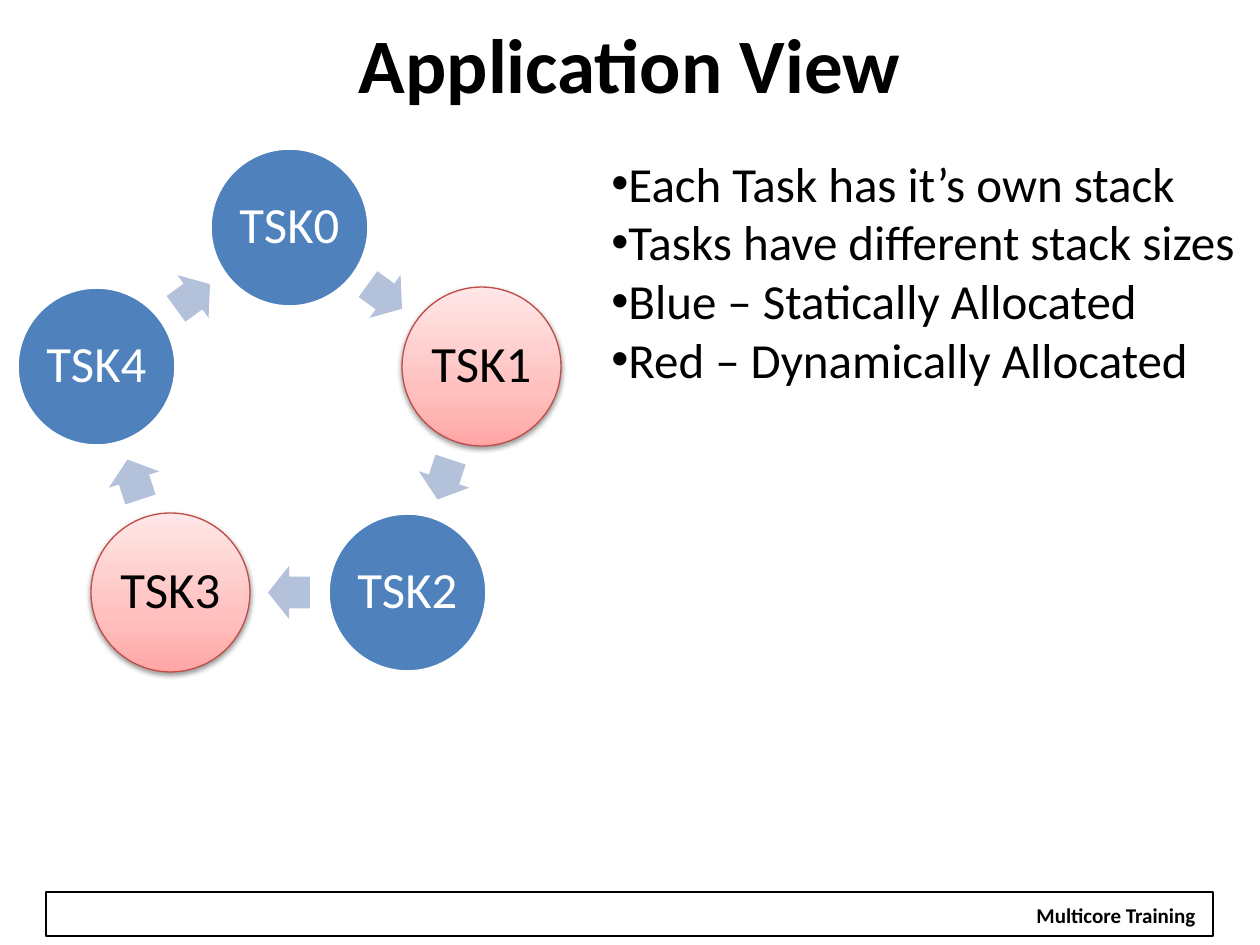
"""Build the Application View slide: a ring of five tasks beside notes on their stacks."""
from dataclasses import dataclass
from math import cos, pi, sin
from typing import NamedTuple

from lxml import etree
from pptx import Presentation
from pptx.dml.color import RGBColor
from pptx.enum.shapes import MSO_SHAPE
from pptx.enum.text import MSO_ANCHOR, PP_ALIGN
from pptx.oxml.ns import qn
from pptx.util import Emu, Pt

EMU_PER_PX = 914400 / 126
ELLIPSE, ARROW, RECT = MSO_SHAPE.OVAL, MSO_SHAPE.RIGHT_ARROW, MSO_SHAPE.RECTANGLE
LEFT, CENTER = PP_ALIGN.LEFT, PP_ALIGN.CENTER
TOP, MIDDLE = MSO_ANCHOR.TOP, MSO_ANCHOR.MIDDLE


@dataclass(frozen=True)
class Theme:
    """Colours, font and type sizes of the slide."""
    font: str = "Calibri"
    ink: str = "000000"
    paper: str = "FFFFFF"
    static: str = "4F81BD"
    dynamic_edge: str = "BF4C48"
    dynamic_stops: tuple = ((0, "FFA6A5"), (35, "FFC0BF"), (100, "FFE7E7"))
    arrow: str = "B3C1DB"
    title_size: int = 44
    task_size: int = 29
    note_size: int = 28
    footer_size: int = 12


class Box(NamedTuple):
    """A rectangle in px."""
    left: int
    top: int
    width: int
    height: int


class Task(NamedTuple):
    """A task and the way its stack is allocated."""
    name: str
    dynamic: bool


THEME = Theme()
TASKS = [Task("TSK0", False), Task("TSK1", True), Task("TSK2", False),
         Task("TSK3", True), Task("TSK4", False)]
NOTES = ["Each Task has it’s own stack", "Tasks have different stack sizes",
         "Blue – Statically Allocated", "Red – Dynamically Allocated"]
RING_X, RING_Y, RING_RADIUS = 289, 429, 202
TASK_SIDE, ARROW_WIDTH, ARROW_HEIGHT = 159, 42, 53


def px(length: float) -> Emu:
    """Turn px into EMU."""
    return Emu(round(length * EMU_PER_PX))


def rgb(value: str) -> RGBColor:
    """Read a hexadecimal colour."""
    return RGBColor.from_string(value)


def add_shape(slide, preset, box: Box, fill: str | None = None,
              line: str | None = None, line_width: float = 0.75):
    """Draw a flat preset shape."""
    shape = slide.shapes.add_shape(preset, *map(px, box))
    shape.shadow.inherit = False
    if fill:
        shape.fill.solid()
        shape.fill.fore_color.rgb = rgb(fill)
    else:
        shape.fill.background()
    if line:
        shape.line.color.rgb = rgb(line)
        shape.line.width = Pt(line_width)
    else:
        shape.line.fill.background()
    return shape


def write(shape, *lines: str, size: int, color: str = THEME.ink, bold: bool = False,
          align=LEFT, anchor=TOP, wrap: bool = True, bullet: str = "",
          spacing: float = 1.0) -> None:
    """Write lines into a shape, one paragraph each."""
    frame = shape.text_frame
    frame.word_wrap = wrap
    frame.vertical_anchor = anchor
    frame.text = "\n".join(lines)
    for paragraph in frame.paragraphs:
        if bullet:
            properties = paragraph._p.get_or_add_pPr()
            etree.SubElement(properties, qn("a:buFont"), typeface="Arial")
            etree.SubElement(properties, qn("a:buChar"), char=bullet)
        paragraph.alignment = align
        paragraph.line_spacing = spacing
        for run in paragraph.runs:
            run.font.name = THEME.font
            run.font.size = Pt(size)
            run.font.bold = bold
            run.font.color.rgb = rgb(color)


def add_color(parent, value: str):
    """Add a colour element to an XML parent."""
    return etree.SubElement(parent, qn("a:srgbClr"), val=value)


def style_dynamic(circle) -> None:
    """Give a circle the red gradient and soft shadow of a dynamic task."""
    circle.fill.gradient()
    circle.fill.gradient_angle = 90
    properties = circle._element.spPr
    stops = properties.find(".//" + qn("a:gsLst"))
    stops.clear()
    for position, value in THEME.dynamic_stops:
        add_color(etree.SubElement(stops, qn("a:gs"), pos=str(position * 1000)), value)
    shadow = etree.SubElement(properties.find(qn("a:effectLst")), qn("a:outerShdw"),
                              blurRad=str(Pt(3.1)), dist=str(Pt(1.6)),
                              dir="5400000", rotWithShape="0")
    etree.SubElement(add_color(shadow, THEME.ink), qn("a:alpha"), val="38000")


def ring_box(angle: float, radius: float, width: int, height: int) -> Box:
    """Centre a box on the ring at a clockwise angle from the top."""
    return Box(round(RING_X + radius * sin(angle) - width / 2),
               round(RING_Y - radius * cos(angle) - height / 2), width, height)


def add_task(slide, task: Task, angle: float) -> None:
    """Draw one task circle with its name."""
    line, width = (THEME.dynamic_edge, 0.75) if task.dynamic else (THEME.paper, 2)
    circle = add_shape(slide, ELLIPSE, ring_box(angle, RING_RADIUS, TASK_SIDE, TASK_SIDE),
                       fill=THEME.static, line=line, line_width=width)
    if task.dynamic:
        style_dynamic(circle)
    write(circle, task.name, size=THEME.task_size, align=CENTER, anchor=MIDDLE, wrap=False,
          color=THEME.ink if task.dynamic else THEME.paper, spacing=0.9)


def add_ring(slide, tasks: list[Task]) -> None:
    """Draw the tasks in a ring with an arrow from each to the next."""
    step = 2 * pi / len(tasks)
    for index, task in enumerate(tasks):
        add_task(slide, task, index * step)
        halfway = (index + 0.5) * step
        arrow = add_shape(slide, ARROW, ring_box(halfway, RING_RADIUS * cos(step / 2),
                                                 ARROW_WIDTH, ARROW_HEIGHT), fill=THEME.arrow)
        arrow.adjustments[0] = 0.6
        arrow.adjustments[1] = 0.5
        arrow.rotation = (index + 0.5) * 360 / len(tasks)


def main() -> None:
    """Build and save the slide."""
    deck = Presentation()
    deck.slide_width, deck.slide_height = px(1260), px(945)
    slide = deck.slides.add_slide(deck.slide_layouts[6])

    add_shape(slide, RECT, Box(46, 892, 1167, 44), line=THEME.ink)
    footer = add_shape(slide, RECT, Box(1023, 896, 186, 38), fill=THEME.paper)
    write(footer, "Multicore Training", size=THEME.footer_size, bold=True,
          align=CENTER, wrap=False)

    title = slide.shapes.add_textbox(*map(px, Box(63, 10, 1134, 105)))
    write(title, "Application View", size=THEME.title_size, bold=True,
          align=CENTER, anchor=MIDDLE)

    add_ring(slide, TASKS)

    notes = slide.shapes.add_textbox(*map(px, Box(599, 147, 661, 251)))
    write(notes, *NOTES, size=THEME.note_size, bullet="•")

    deck.save("out.pptx")


if __name__ == "__main__":
    main()
